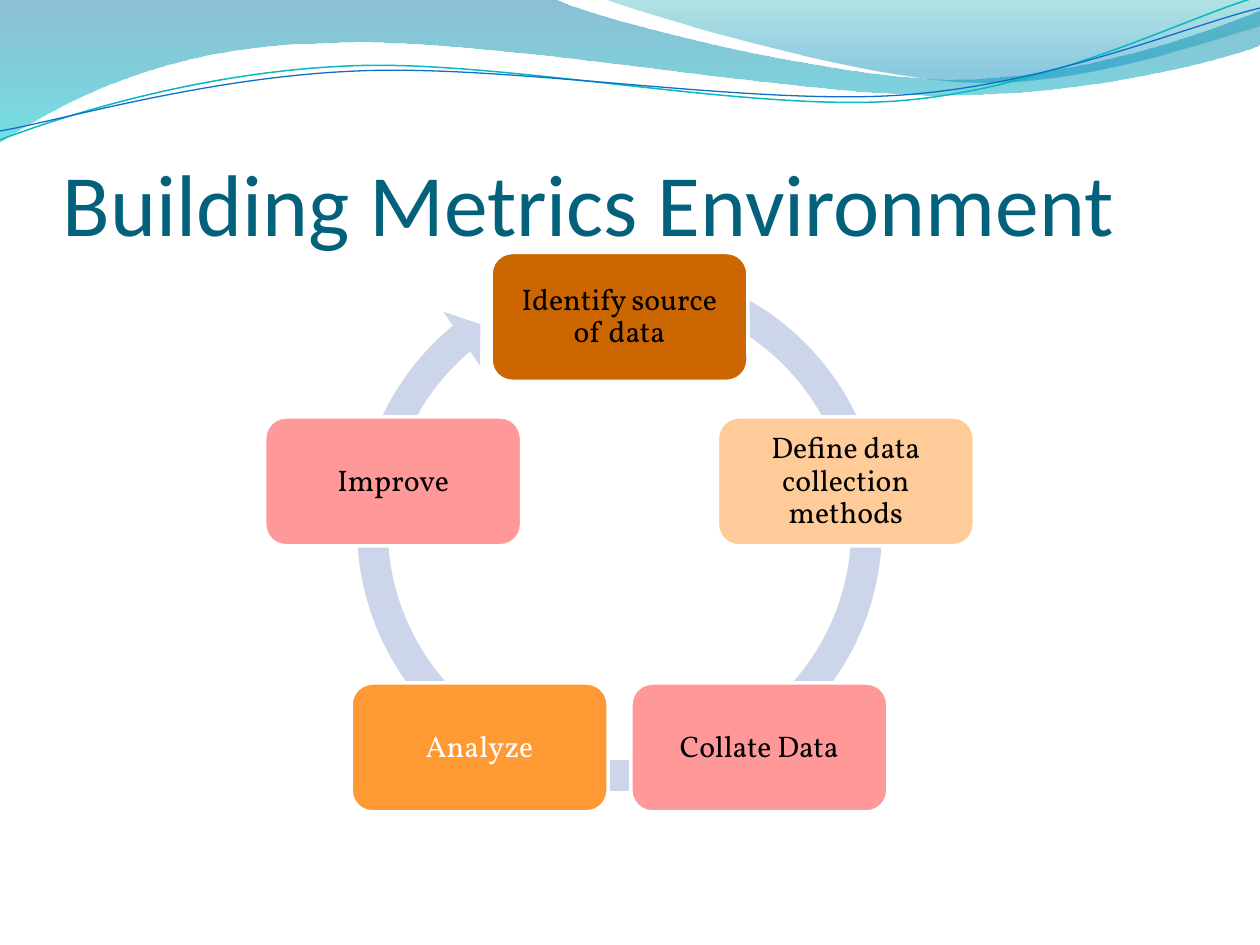
from math import cos, radians, sin

from lxml import etree
from pptx import Presentation, util as u
from pptx.dml.color import RGBColor
from pptx.enum import shapes as sh, text as tx
from pptx.oxml import ns

PX = 914400 / 126  # EMU in one px
W, H = 1260, 945

WHITE = RGBColor(0xFF, 0xFF, 0xFF)
BLACK = RGBColor(0x00, 0x00, 0x00)
NAVY = RGBColor(0x04, 0x61, 0x7B)
RING = RGBColor(0xCC, 0xD5, 0xEA)
BROWN = RGBColor(0xCC, 0x66, 0x00)
PEACH = RGBColor(0xFF, 0xCC, 0x99)
PINK = RGBColor(0xFF, 0x99, 0x99)
ORANGE = RGBColor(0xFF, 0x99, 0x33)
TEAL = RGBColor(0x0A, 0xB8, 0xBF)
BLUE = RGBColor(0x0F, 0x6F, 0xC6)
DEEP = RGBColor(0x00, 0x74, 0xA1)
CYAN = RGBColor(0x00, 0xC6, 0xCF)
SEA = RGBColor(0x00, 0xA1, 0xA9)
SKY = RGBColor(0x00, 0x8B, 0xBF)

# Wave outlines: a start point, then lines (x, y) or cubic curves (six numbers).
# Bands add gradient stops: position, colour, opacity in percent.
BANDS = [
    ([(-1, 0), (554, -1), (600, 21, 837, 79, 955, 79),
      (1074, 79, 1207, 33, 1260, 11), (1261, 45),
      (1239, 55, 1096, 96, 940, 95), (783, 95, 481, 35, 324, 43),
      (163, 45, 58, 105, -1, 142)],
     [(0, DEEP, 45), (1, CYAN, 55)]),
    ([(604, -1), (641, 14, 859, 78, 969, 82),
      (1079, 87, 1211, 40, 1260, 26), (1260, 0)],
     [(0, SEA, 30), (0.8, SKY, 45)]),
]
# Lines add a colour and a width in points.
LINES = [
    ([(0, 140), (60, 117, 199, 72, 349, 66), (498, 59, 747, 112, 898, 101),
      (1050, 89, 1182, 19, 1257, -3)], TEAL, 0.85),
    ([(0, 131), (59, 121, 207, 77, 357, 71), (508, 64, 752, 106, 903, 95),
      (1053, 84, 1186, 26, 1260, 8)], BLUE, 0.75),
]
TILT = 2.7  # degrees the lines are turned anticlockwise
STEPS = [
    ("Identify source of data", BROWN, BLACK),
    ("Define data collection methods", PEACH, BLACK),
    ("Collate Data", PINK, BLACK),
    ("Analyze", ORANGE, WHITE),
    ("Improve", PINK, BLACK),
]


def emu(*vals):
    return [u.Emu(round(v * PX)) for v in vals]


def spin(x, y, deg, mx=629, my=72):
    """Turn a point clockwise about the middle of the lines."""
    c, s = cos(radians(deg)), sin(radians(deg))
    return mx + (x - mx) * c - (y - my) * s, my + (x - mx) * s + (y - my) * c


def outline(slide, x, y, parts, close, tilt=0):
    pts = [spin(p[i], p[i + 1], tilt) for p in parts for i in range(0, len(p), 2)]
    pts = [emu(x + px, y + py) for px, py in pts]
    form = slide.shapes.build_freeform(*pts[0], scale=1.0)
    form.add_line_segments(pts[1:], close=close)
    shape = form.convert_to_shape()
    shape.shadow.inherit = False
    shape.rotation = -tilt
    # Join each curve's three points into one cubic segment
    segs = iter(list(shape.element.iter(ns.qn("a:lnTo"))))
    for part in parts[1:]:
        seg = next(segs)
        if len(part) == 6:
            seg.tag = ns.qn("a:cubicBezTo")
            for _ in range(2):
                extra = next(segs)
                seg.append(extra[0])
                extra.getparent().remove(extra)
    return shape


def waves(slide, x, y):
    for parts, stops in BANDS:
        band = outline(slide, x, y, parts, True)
        band.line.fill.background()
        band.fill.gradient()
        band.fill.gradient_angle = 270
        for stop, (pos, color, _) in zip(band.fill.gradient_stops, stops):
            stop.position = pos
            stop.color.rgb = color
        fill = band.element.spPr.find(ns.qn("a:gradFill"))
        for node, (_, _, alpha) in zip(fill.iter(ns.qn("a:srgbClr")), stops):
            etree.SubElement(node, ns.qn("a:alpha"), val=str(alpha * 1000))
    for parts, color, width in LINES:
        line = outline(slide, x, y, parts, False, TILT)
        line.fill.background()
        line.line.color.rgb = color
        line.line.width = u.Pt(width)


def style(para, face, size, color):
    for run in para.runs:
        run.font.name = face
        run.font.size = u.Pt(size)
        run.font.color.rgb = color


def inset(frame, left, top, right, low):
    frame.word_wrap = True
    frame.margin_left, frame.margin_top, frame.margin_right, frame.margin_bottom = emu(
        left, top, right, low)


def title(slide, x, y, w, h):
    frame = slide.shapes.add_textbox(*emu(x, y, w, h)).text_frame
    inset(frame, 0, 6, 0, 0)
    frame.vertical_anchor = tx.MSO_ANCHOR.BOTTOM
    frame.text = "Building Metrics Environment"
    style(frame.paragraphs[0], "Calibri", 50, NAVY)


def step(slide, x, y, w, h, label, color, ink):
    box = slide.shapes.add_shape(sh.MSO_SHAPE.ROUNDED_RECTANGLE, *emu(x, y, w, h))
    box.shadow.inherit = False
    box.fill.solid()
    box.fill.fore_color.rgb = color
    box.line.color.rgb = WHITE
    box.line.width = u.Pt(2)
    frame = box.text_frame
    inset(frame, 15, 15, 15, 15)
    frame.vertical_anchor = tx.MSO_ANCHOR.MIDDLE
    frame.text = label
    para = frame.paragraphs[0]
    para.alignment = tx.PP_ALIGN.CENTER
    para.line_spacing = 0.9
    style(para, "Vollkorn", 17, ink)


def cycle(slide, x, y, size):
    # Ring with its arrowhead
    ring = slide.shapes.add_shape(sh.MSO_SHAPE.CIRCULAR_ARROW, *emu(x, y, size, size))
    ring.shadow.inherit = False
    ring.fill.solid()
    ring.fill.fore_color.rgb = RING
    ring.line.fill.background()
    for i, val in enumerate((0.055, 3.307, 138.152, 173.621, 0.058)):
        ring.adjustments[i] = val
    # Steps, evenly spaced clockwise from the top
    w, h, rad = 257, 129, 238
    mid, low = x + size / 2, y + 306
    for i, item in enumerate(STEPS):
        turn = radians(360 / len(STEPS) * i)
        step(slide, mid + rad * sin(turn) - w / 2, low - rad * cos(turn) - h / 2,
             w, h, *item)


def main():
    prs = Presentation()
    prs.slide_width, prs.slide_height = emu(W, H)
    slide = prs.slides.add_slide(prs.slide_layouts[6])
    waves(slide, 0, 0)
    title(slide, 63, 97, 1134, 157)
    cycle(slide, 340, 249, 559)
    prs.save("out.pptx")


if __name__ == "__main__":
    main()
